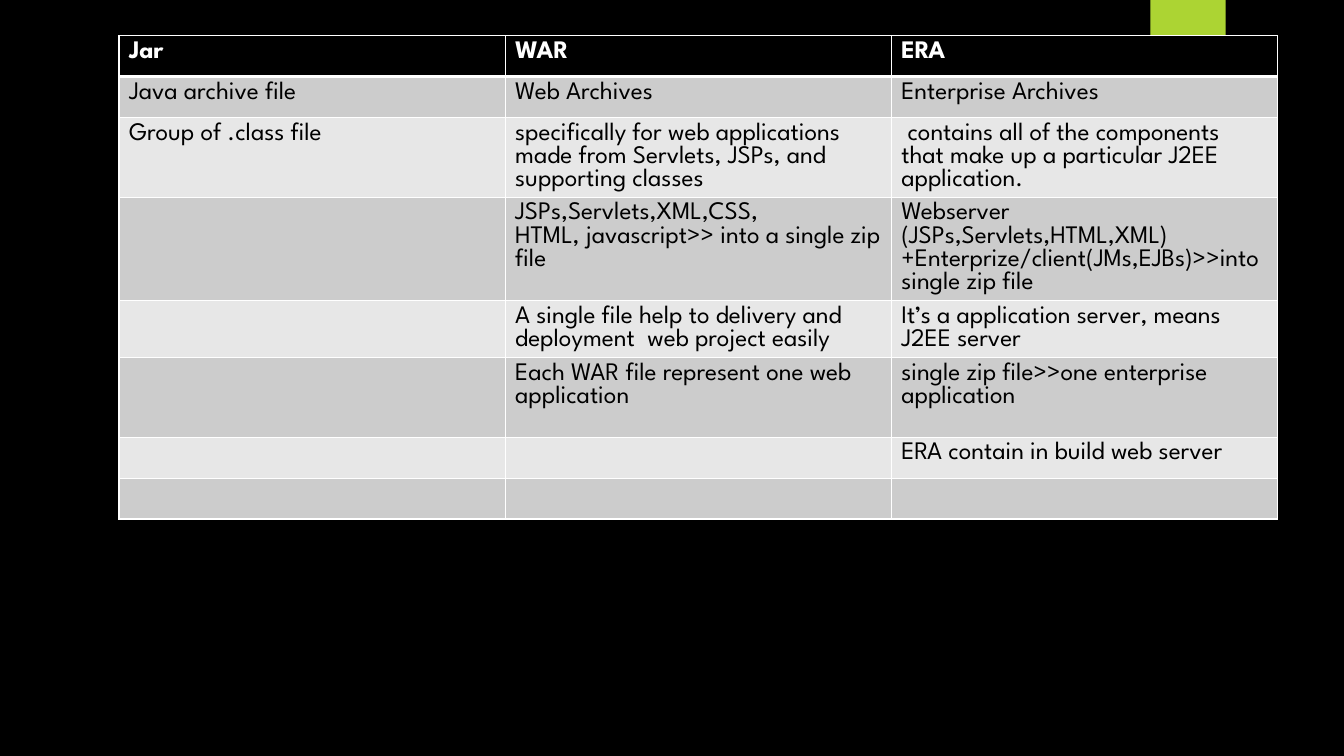
import lxml.etree
import pptx
import pptx.dml.color
import pptx.enum.shapes
import pptx.oxml.ns
import pptx.util

BLACK = pptx.dml.color.RGBColor(0x00, 0x00, 0x00)
WHITE = pptx.dml.color.RGBColor(0xFF, 0xFF, 0xFF)
LIME = pptx.dml.color.RGBColor(0xAC, 0xD4, 0x33)
DARK_BAND = pptx.dml.color.RGBColor(0xCC, 0xCC, 0xCC)
LIGHT_BAND = pptx.dml.color.RGBColor(0xE7, 0xE7, 0xE7)

ARCHIVE_ROWS = [
    ("Jar", "WAR", "ERA"),
    ("Java archive file", "Web Archives", "Enterprise Archives"),
    (
        "Group of .class file",
        "specifically for web applications made from Servlets, JSPs, and supporting classes",
        " contains all of the components that make up a particular J2EE application.",
    ),
    (
        "",
        "JSPs,Servlets,XML,CSS,\nHTML, javascript>> into a single zip file",
        "Webserver (JSPs,Servlets,HTML,XML)+Enterprize/client(JMs,EJBs)>>into single zip file",
    ),
    (
        "",
        "A single file help to delivery and deployment  web project easily",
        "It’s a application server, means J2EE server",
    ),
    (
        "",
        "Each WAR file represent one web application",
        "single zip file>>one enterprise application",
    ),
    ("", "", "ERA contain in build web server"),
    ("", "", ""),
]
ROW_HEIGHTS = [1.03, 1.03, 2.01, 2.6, 1.44, 2.01, 1.03, 1.03]
COLUMN_WIDTH = 9.73


class SlideBuilder:
    """Draws styled elements on the current slide."""

    font_name = "League Spartan"
    font_size = pptx.util.Pt(18)

    def __init__(self, slide):
        self.slide = slide

    def background(self, color):
        self.slide.background.fill.solid()
        self.slide.background.fill.fore_color.rgb = color

    def rectangle(self, left, top, width, height, color):
        shape = self.slide.shapes.add_shape(
            pptx.enum.shapes.MSO_SHAPE.RECTANGLE,
            *map(pptx.util.Cm, (left, top, width, height)),
        )
        shape.shadow.inherit = False
        shape.fill.solid()
        shape.fill.fore_color.rgb = color
        shape.line.fill.background()

    def table(self, left, top, column_width, row_heights, rows):
        column_count = len(rows[0])
        frame = self.slide.shapes.add_table(
            len(rows),
            column_count,
            *map(pptx.util.Cm, (left, top, column_width * column_count, sum(row_heights))),
        )
        table = frame.table
        for column in table.columns:
            column.width = pptx.util.Cm(column_width)
        for row_index, texts in enumerate(rows):
            table.rows[row_index].height = pptx.util.Cm(row_heights[row_index])
            for column_index, text in enumerate(texts):
                self.cell(table.cell(row_index, column_index), text, row_index)

    def cell(self, cell, text, row_index):
        header = row_index == 0
        band = DARK_BAND if row_index % 2 else LIGHT_BAND
        cell.fill.solid()
        cell.fill.fore_color.rgb = BLACK if header else band
        self.borders(cell, 3 if header else 1, 3 if row_index == 1 else 1)
        for index, line in enumerate(text.split("\n")):
            frame = cell.text_frame
            paragraph = frame.add_paragraph() if index else frame.paragraphs[0]
            paragraph.font.size = self.font_size
            if line:
                self.run(paragraph, line, WHITE if header else BLACK, header)

    def run(self, paragraph, text, color, bold):
        run = paragraph.add_run()
        run.text = text
        run.font.name = self.font_name
        run.font.size = self.font_size
        run.font.bold = bold
        run.font.color.rgb = color

    def borders(self, cell, bottom_width, top_width):
        qualified = pptx.oxml.ns.qn
        properties = cell._tc.get_or_add_tcPr()
        widths = {"lnL": 1, "lnR": 1, "lnT": top_width, "lnB": bottom_width}
        for position, (side, width) in enumerate(widths.items()):
            line = lxml.etree.Element(qualified(f"a:{side}"), w=str(pptx.util.Pt(width)))
            fill = lxml.etree.SubElement(line, qualified("a:solidFill"))
            lxml.etree.SubElement(fill, qualified("a:srgbClr"), val=str(WHITE))
            properties.insert(position, line)


def main():
    presentation = pptx.Presentation()
    presentation.slide_width = pptx.util.Cm(33.87)
    presentation.slide_height = pptx.util.Cm(19.05)
    builder = SlideBuilder(presentation.slides.add_slide(presentation.slide_layouts[6]))
    builder.background(BLACK)
    builder.rectangle(28.99, 0, 1.9, 3.18, LIME)
    builder.table(3, 0.9, COLUMN_WIDTH, ROW_HEIGHTS, ARCHIVE_ROWS)
    presentation.save("out.pptx")


if __name__ == "__main__":
    main()
